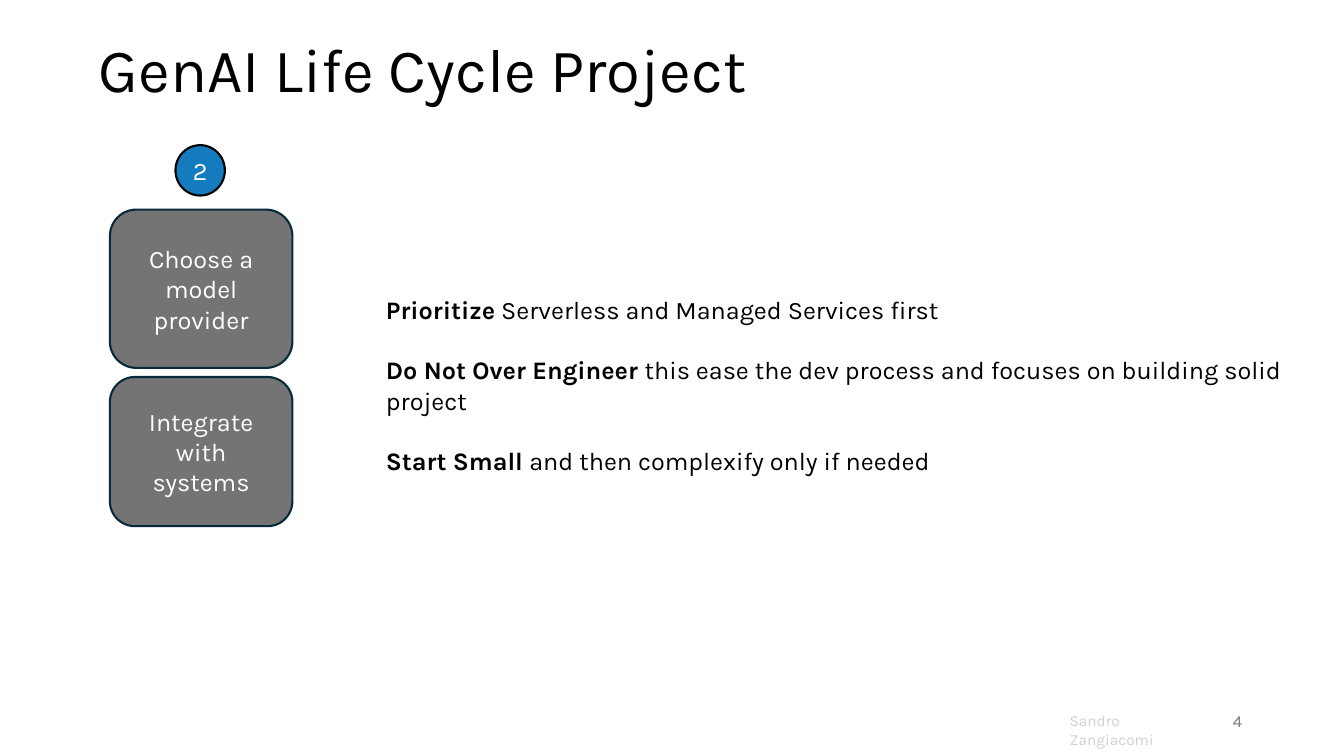
from dataclasses import dataclass

from pptx import Presentation
from pptx.dml.color import RGBColor
from pptx.enum.shapes import MSO_SHAPE as Kind
from pptx.enum.text import MSO_ANCHOR as Anchor, MSO_AUTO_SIZE as Fit, PP_ALIGN as Align
from pptx.util import Pt

PX = 9144  # EMU per px, 100 px to the inch
FONT = "Karla"
BLACK, WHITE = "000000", "FFFFFF"
GREY, NAVY, BLUE = "747474", "092A39", "147BBF"

Box = tuple[int, int, int, int]
Lines = list[list[tuple[str, bool]]]


@dataclass
class Label:
    box: Box
    lines: Lines
    size: int = 18
    color: str = BLACK
    align: Align = Align.LEFT
    anchor: Anchor = Anchor.TOP
    gap: float = 0


@dataclass
class Node:
    kind: Kind
    box: Box
    text: str
    fill: str
    edge: str


def paint(target, color: str) -> None:
    """Give a fill or a font colour its hex value."""
    target.rgb = RGBColor.from_string(color)


def scale(box: Box) -> list[int]:
    return [n * PX for n in box]


def write(shape, label: Label) -> None:
    frame = shape.text_frame
    form = {"word_wrap": True, "auto_size": Fit.NONE, "vertical_anchor": label.anchor}
    for name, value in form.items():
        setattr(frame, name, value)
    for i, line in enumerate(label.lines):
        para = frame.add_paragraph() if i else frame.paragraphs[0]
        para.alignment = label.align
        para.space_before = Pt(label.gap if i else 0)
        for text, bold in line:
            run = para.add_run()
            run.text = text
            style = {"name": FONT, "size": Pt(label.size), "bold": bold}
            for name, value in style.items():
                setattr(run.font, name, value)
            paint(run.font.color, label.color)


def add_text(slide, label: Label) -> None:
    write(slide.shapes.add_textbox(*scale(label.box)), label)


def add_node(slide, node: Node) -> None:
    shape = slide.shapes.add_shape(node.kind, *scale(node.box))
    shape.shadow.inherit = False
    shape.fill.solid()
    paint(shape.fill.fore_color, node.fill)
    paint(shape.line.color, node.edge)
    shape.line.width = Pt(1.5)
    write(shape, Label(node.box, [[(node.text, False)]], color=WHITE,
                       align=Align.CENTER, anchor=Anchor.MIDDLE))


def add_title(slide, label: Label) -> None:
    title = slide.shapes.title
    spots = zip(("left", "top", "width", "height"), scale(label.box))
    for name, value in spots:
        setattr(title, name, value)
    write(title, label)
    title.text_frame.paragraphs[0].line_spacing = 0.9


TITLE = Label((88, -1, 1150, 145), [[("GenAI Life Cycle Project", False)]],
              size=44, anchor=Anchor.MIDDLE)

# Step number above its two stages
NODES = [
    Node(Kind.ROUNDED_RECTANGLE, (109, 208, 181, 157), "Choose a model provider", GREY, NAVY),
    Node(Kind.ROUNDED_RECTANGLE, (109, 374, 181, 148), "Integrate with systems", GREY, NAVY),
    Node(Kind.OVAL, (174, 144, 49, 50), "2", BLUE, BLACK),
]

# Advice, footer and page number
LABELS = [
    Label((373, 287, 947, 202), [
        [("Prioritize", True), (" Serverless and Managed Services first", False)],
        [("Do Not Over Engineer ", True),
         ("this ease the dev process and focuses on building solid project", False)],
        [("Start Small ", True), ("and then complexify only if needed", False)],
    ], gap=21.5),
    Label((1051, 701, 149, 29), [[("Sandro Zangiacomi", False)]], size=11, color="D1D1D1"),
    Label((942, 695, 300, 40), [[("4", False)]], size=12, color="797979",
          align=Align.RIGHT, anchor=Anchor.MIDDLE),
]


def main() -> None:
    deck = Presentation()
    deck.slide_width, deck.slide_height = 1333 * PX, 750 * PX
    slide = deck.slides.add_slide(deck.slide_layouts.get_by_name("Title Only"))
    add_title(slide, TITLE)
    for node in NODES:
        add_node(slide, node)
    for label in LABELS:
        add_text(slide, label)
    deck.save("out.pptx")


if __name__ == "__main__":
    main()
